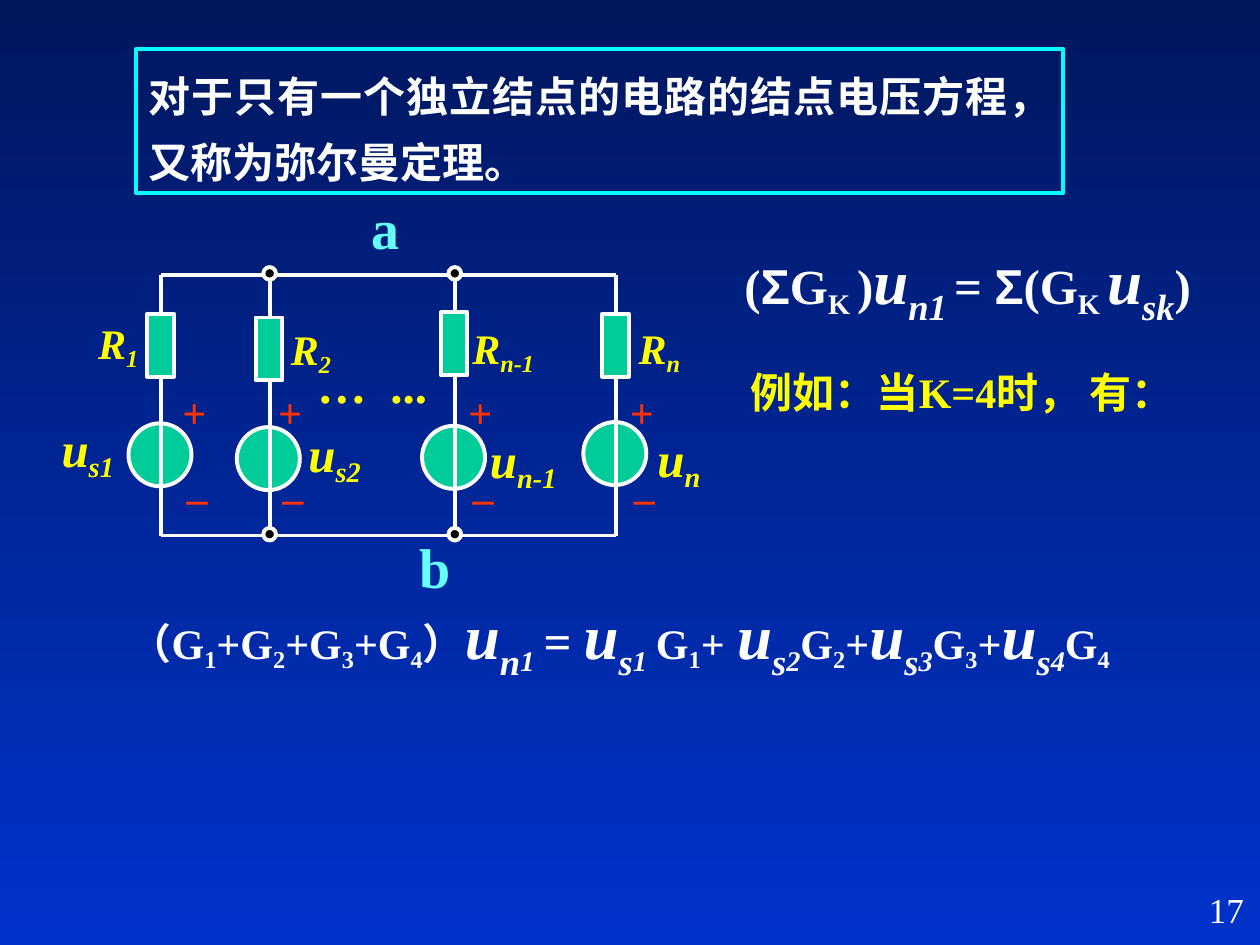
from pptx import Presentation
from pptx.dml.color import RGBColor as Rgb
from pptx.enum.shapes import MSO_CONNECTOR as Conn, MSO_SHAPE as Kind
from pptx.enum.text import MSO_ANCHOR as Anchor, MSO_AUTO_SIZE as Auto, PP_ALIGN as Align
from pptx.oxml.ns import qn
from pptx.util import Inches, Pt
from lxml.etree import SubElement as Sub

HUE = {"top": "00175E", "base": "0033CC", "ink": "FFFFFF", "frame": "00FFFF",
       "node": "66FFFF", "label": "FFFF00", "sign": "FF3300", "part": "00CC99",
       "dot": "000000"}
COLS, ROWS = 100, 75
UNIT = Inches(10) // COLS
SERIF, SANS = "Times New Roman", "Arial"
LOW, DEEP = -20, -25


def hue(name):
    return Rgb.from_string(HUE[name])


def grid(*spans):
    return [round(span * UNIT) for span in spans]


def run(text, size, base=0, slant=False, font=SERIF):
    return text, size, base, slant, font


def write(shape, runs, color, align=Align.JUSTIFY, lead=1.2, bold=True):
    frame = shape.text_frame
    frame.word_wrap = True
    frame.auto_size = Auto.NONE
    frame.vertical_anchor = Anchor.TOP
    frame.margin_left = frame.margin_right = Inches(0.1)
    frame.margin_top = frame.margin_bottom = Inches(0.05)
    para = frame.paragraphs[0]
    para.alignment = align
    para.line_spacing = lead
    para.space_before = Pt(0)
    for text, size, base, slant, face in runs:
        item = para.add_run()
        item.text = text
        font = item.font
        font.size, font.name = Pt(size), face
        font.bold, font.italic = bold, slant
        font.color.rgb = hue(color)
        if base:
            item._r.get_or_add_rPr().set("baseline", str(base * 1000))


def label(slide, box, runs, color, **style):
    write(slide.shapes.add_textbox(*grid(*box)), runs, color, **style)


def part(slide, kind, box, fill):
    shape = slide.shapes.add_shape(kind, *grid(*box))
    shape.shadow.inherit = False
    shape.fill.solid()
    shape.fill.fore_color.rgb = hue(fill)
    shape.line.color.rgb = hue("ink")
    shape.line.width = Pt(2.25)


def wire(slide, *ends):
    line = slide.shapes.add_connector(Conn.STRAIGHT, *grid(*ends))
    line.line.color.rgb = hue("ink")
    line.line.width = Pt(2.25)
    Sub(line._element.spPr, qn("a:effectLst"))


def backdrop(slide):
    fill = slide.background.fill
    fill.gradient()
    fill.gradient_angle = 270
    for stop, name in zip(fill.gradient_stops, ("top", "base")):
        stop.color.rgb = hue(name)


def theorem(slide, box):
    head = slide.shapes.title
    head.left, head.top, head.width, head.height = grid(*box)
    head.line.color.rgb = hue("frame")
    head.line.width = Pt(2.25)
    text = "对于只有一个独立结点的电路的结点电压方程，又称为弥尔曼定理。"
    write(head, [run(text, 24)], "ink", lead=1.3)


def branch(slide, x, top, low, rest, cell, sign, res, volt):
    part(slide, Kind.OVAL, (x - 2.6, cell, 5, 5), "part")
    wire(slide, x, top, x, low)
    part(slide, Kind.RECTANGLE, (x - 1.1, rest, 2.1, 5), "part")
    label(slide, (x + sign, top + 7.6, 3.3, 5.8), [run("+", 24)], "sign")
    label(slide, (x + sign - 0.5, top + 14.3, 4.6, 5.8), [run(" –", 24)], "sign")
    for (name, size, sub, dx, y), high in ((res, 6.3), (volt, 7.2)):
        runs = [run(name, size, 0, True), run(sub, size, LOW, True)]
        label(slide, (x + dx, y, 10, high), runs, "label")


def circuit(slide, box):
    left, top, wide, high = box
    low = top + high
    specs = [
        (0, 3.1, 11.8, 0.7, ("1", -6, 2), ("s1", -8.9, 9.9)),
        (8.6, 3.4, 12.1, -0.3, ("2", 0.7, 2.5), ("s2", 2.1, 10.3)),
        (23.3, 3, 12, 0.1, ("n-1", 0.4, 2.4), ("n-1", 1.8, 10.8)),
        (wide, 3.1, 11.7, 0.1, ("n", 0.8, 2.4), ("n", 2.3, 10.7)),
    ]
    for y in (top, low):
        wire(slide, left, y, left + wide, y)
    for dx, rest, cell, sign, (rsub, rdx, rdy), (usub, udx, udy) in specs:
        branch(slide, left + dx, top, low, top + rest, top + cell, sign,
               ("R", 24, rsub, rdx, top + rdy), ("u", 28, usub, udx, top + udy))
    for dx, *_ in specs[1:3]:
        for y in (top, low):
            part(slide, Kind.OVAL, (left + dx - 0.5, y - 0.6, 1, 1), "dot")
    for name, dx, y in (("a", 15.7, top - 6.9), ("b", 19.5, low - 0.7)):
        label(slide, (left + dx, y, 4.7, 6.4), [run(name, 32)], "node",
              align=Align.LEFT, lead=1)
    for dots, dx in (("…", 11.4), ("...", 17.2)):
        label(slide, (left + dx, top + 4.9, 5.5, 6.6), [run(dots, 28)], "label")


def rule(slide, box):
    runs = [
        run("(", 28), run("Σ", 28, font=SANS), run("G", 28), run("K ", 28, LOW),
        run(")", 28), run("u", 36, 0, True), run("n1", 36, DEEP, True),
        run(" ", 28, LOW, True), run("= ", 28), run("Σ", 28, font=SANS),
        run("(G", 28), run("K ", 28, LOW), run("u", 36, 0, True),
        run("sk", 36, DEEP, True), run(")", 28),
    ]
    label(slide, box, runs, "ink", align=Align.CENTER)


def volts(kind, sub):
    return [run("u", 36, 0, True), run(kind, 36, DEEP, True), run(sub, 28, DEEP, True)]


def sample(slide, box):
    runs = [run("（", 24)]
    for k in "1234":
        runs += [run("G" if k == "1" else "+G", 24), run(k, 24, LOW)]
    runs += [run("）", 24), *volts("n", "1"), run(" ", 36, DEEP, True), run("= ", 28)]
    gaps = {"1": [run(" ", 20)]}
    joins = {"1": [run("+", 24), run(" ", 28)], "4": []}
    for k in "1234":
        runs += volts("s", k) + gaps.get(k, [])
        runs += [run("G", 24), run(k, 24, LOW)] + joins.get(k, [run("+", 24)])
    label(slide, box, runs, "ink")


def main():
    deck = Presentation()
    deck.slide_width, deck.slide_height = grid(COLS, ROWS)
    slide = deck.slides.add_slide(deck.slide_layouts[5])
    backdrop(slide)
    theorem(slide, (10.8, 3.9, 73.6, 11.4))
    circuit(slide, (12.8, 21.8, 36.1, 20.7))
    rule(slide, (53.1, 17.3, 47.4, 9.2))
    label(slide, (58.6, 27.8, 38.8, 5.8), [run("例如：当K=4时， 有：", 24)], "label")
    sample(slide, (9.3, 45.5, 88.1, 9.2))
    label(slide, (78.9, 70, 20.8, 5), [run("17", 20)], "ink",
          align=Align.RIGHT, lead=1, bold=False)
    deck.save("out.pptx")


if __name__ == "__main__":
    main()
